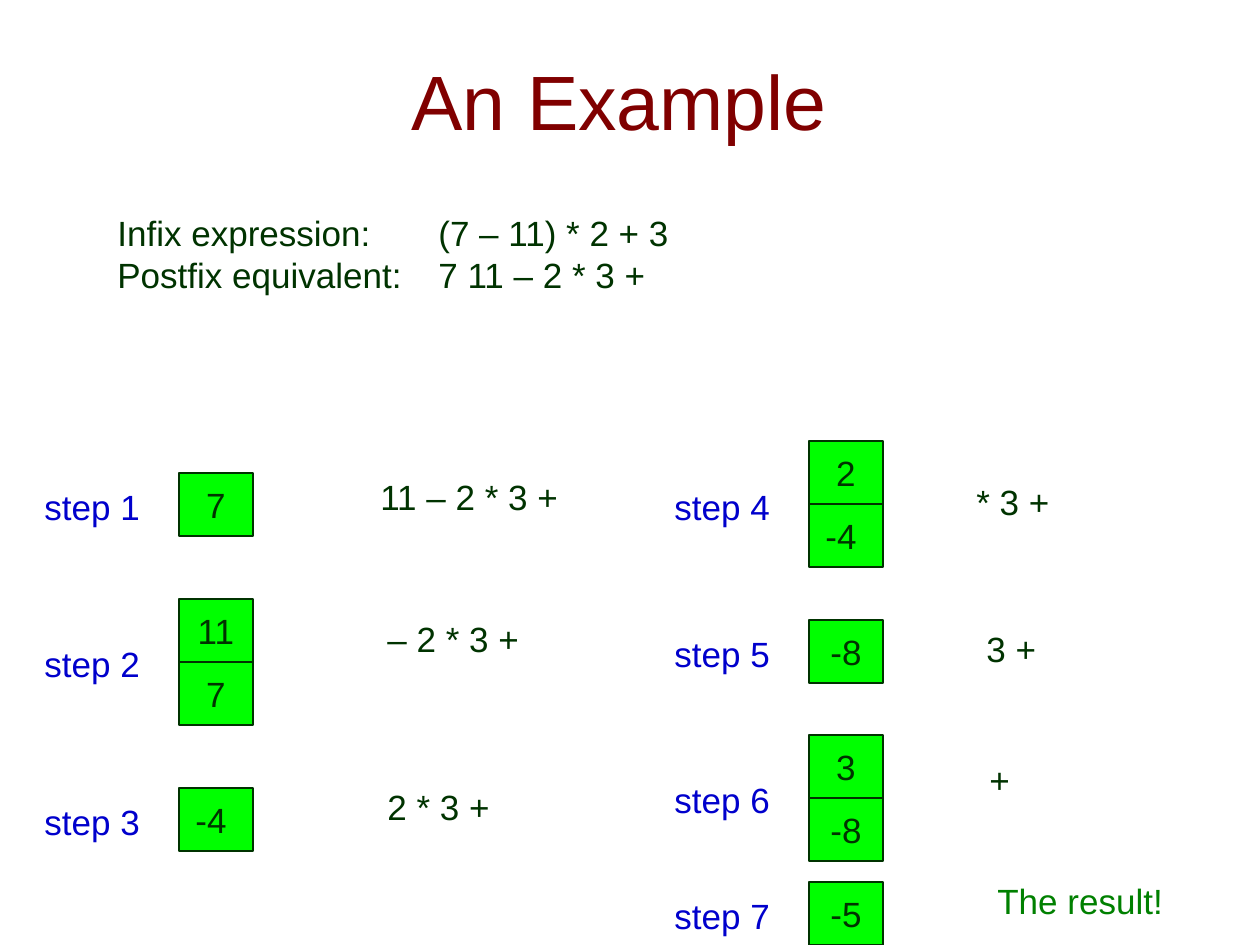
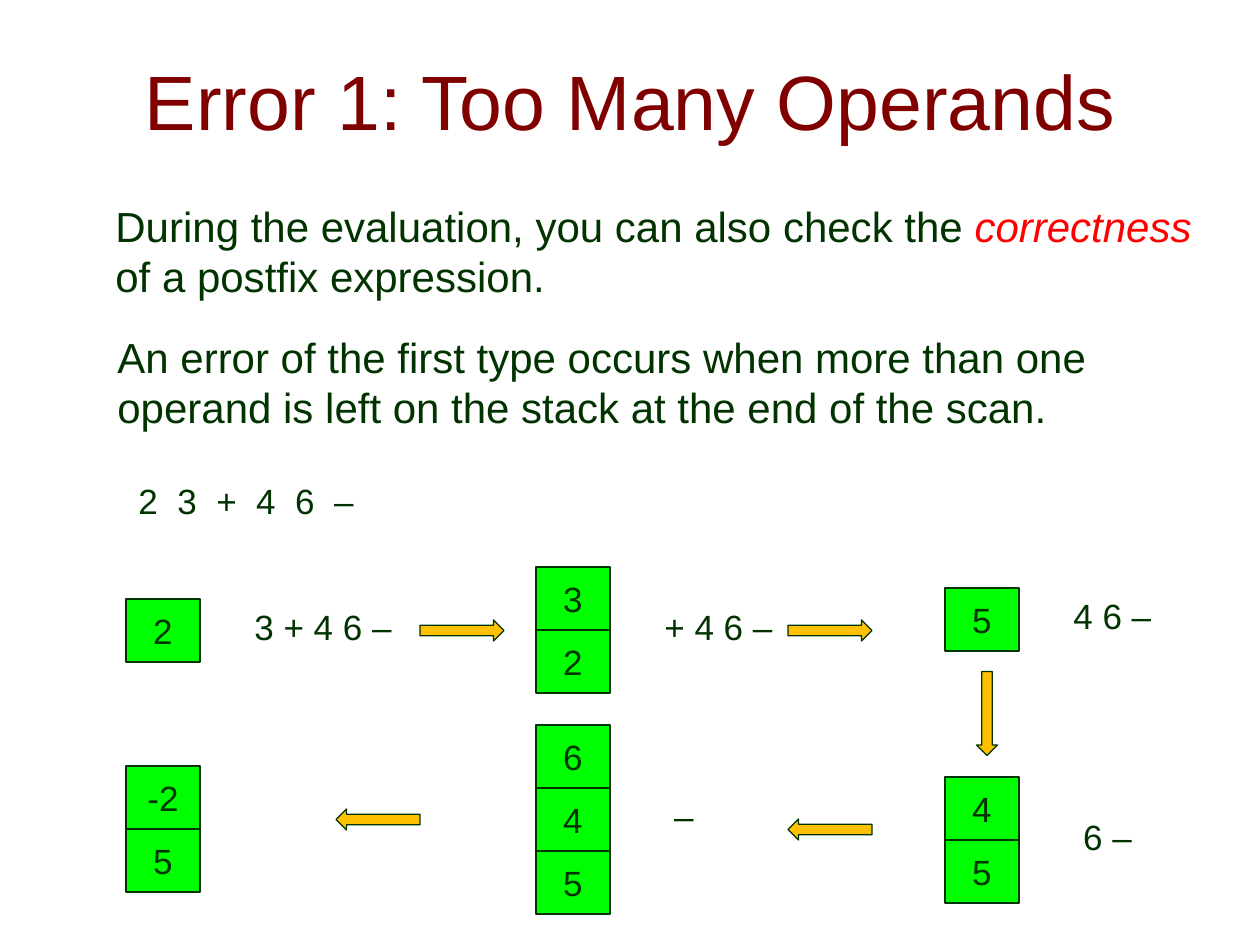
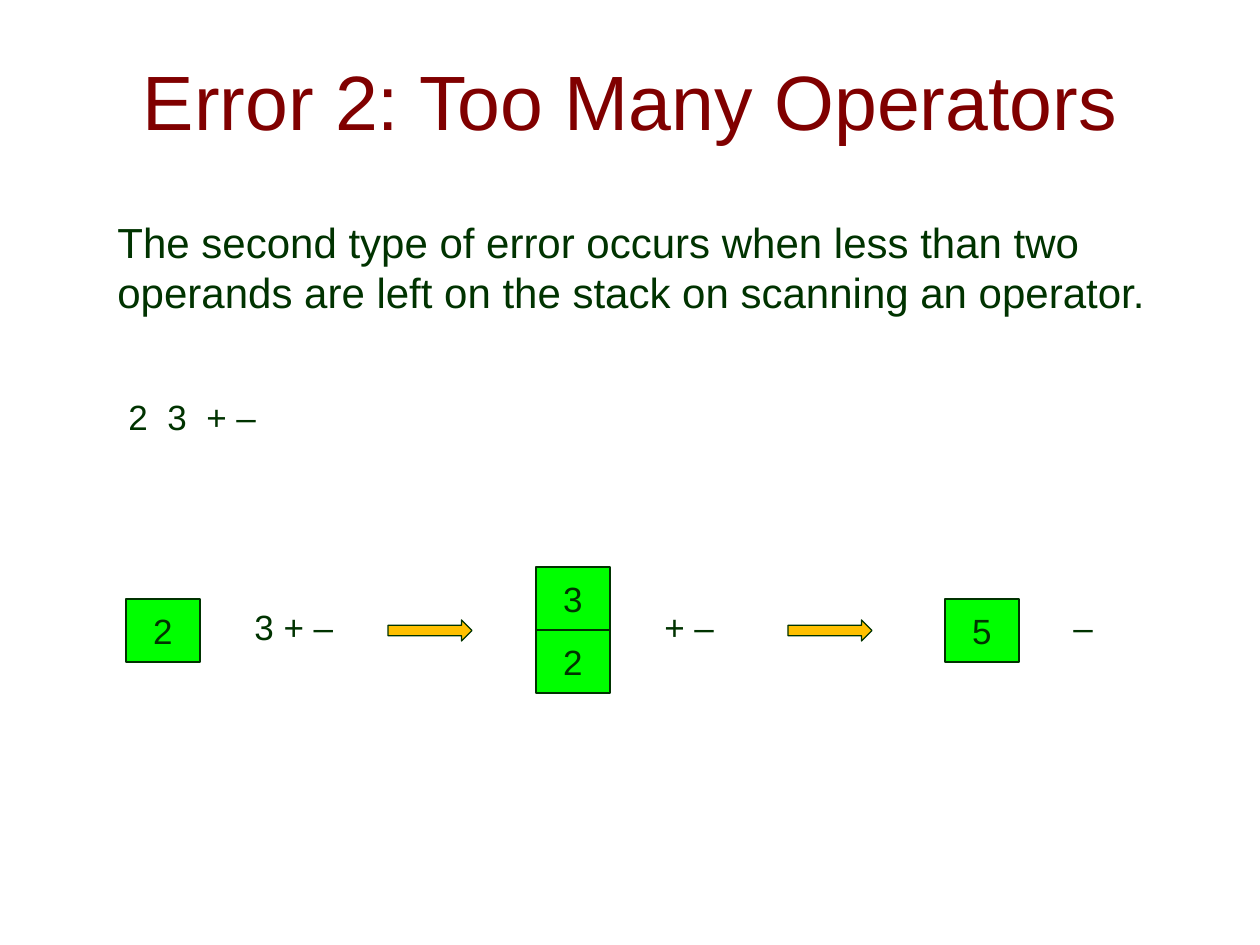
"""Build three slides on evaluating postfix expressions with a stack."""
import dataclasses
import typing

import lxml.etree
import pptx
import pptx.dml.color
import pptx.enum.shapes
import pptx.enum.text
import pptx.oxml.ns
import pptx.util

COLORS = {
    "title": "800000",
    "ink": "003300",
    "step": "0000CC",
    "result": "008000",
    "accent": "FF0000",
    "cell": "00FF00",
    "arrow": "FFC000",
}
FONT = "Arial"
EMU_PER_PX = 914400 / 126
SLIDE_W, SLIDE_H = 1260, 945
CELL_W, CELL_H = 74, 63
ARROW_W, ARROW_H = 84, 21
TEXT_H = 54
BODY_H = 115
TITLE_SIZE, BODY_SIZE, SMALL_SIZE = 44, 24, 20
COLUMNS = (126, 536, 945)
REST_OFFSET = 116
EXPRESSION_TAB = 321
WIDE_SPACING = 278


@dataclasses.dataclass(frozen=True)
class Run:
    text: str
    color: str = "ink"
    italic: bool = False
    spacing: int = 0


@dataclasses.dataclass(frozen=True)
class Label:
    text: str
    x: int
    y: int
    w: int
    color: str = "ink"


@dataclasses.dataclass(frozen=True)
class Stack:
    x: int
    y: int
    values: tuple[str, ...]
    rest: typing.Optional[Label] = None


@dataclasses.dataclass(frozen=True)
class Arrow:
    x: int
    y: int
    rotation: int = 0


Line = tuple[Run, ...]


def px(n: float) -> int:
    return pptx.util.Emu(round(n * EMU_PER_PX))


def rgb(name: str) -> pptx.dml.color.RGBColor:
    return pptx.dml.color.RGBColor.from_string(COLORS[name])


def format_run(r: typing.Any, size: int, color: str, italic: bool = False) -> None:
    r.font.name = FONT
    r.font.size = pptx.util.Pt(size)
    r.font.color.rgb = rgb(color)
    r.font.italic = italic


def add_text(shapes: typing.Any, box: tuple[int, int, int, int],
             lines: typing.Sequence[Line], size: int) -> typing.Any:
    sp = shapes.add_textbox(*map(px, box))
    tf = sp.text_frame
    tf.word_wrap = True
    for i, line in enumerate(lines):
        p = tf.add_paragraph() if i else tf.paragraphs[0]
        for run in line:
            r = p.add_run()
            r.text = run.text
            format_run(r, size, run.color, run.italic)
            if run.spacing:
                r.font._element.set("spc", str(run.spacing))
    return sp


def add_label(shapes: typing.Any, label: Label) -> None:
    add_text(shapes, (label.x, label.y, label.w, TEXT_H),
             [(Run(label.text, label.color),)], SMALL_SIZE)


def add_title(s: typing.Any, text: str, x: int = 95) -> None:
    sp = add_text(s.shapes, (x, 21, 1071, 158), [(Run(text, "title"),)], TITLE_SIZE)
    sp.text_frame.vertical_anchor = pptx.enum.text.MSO_ANCHOR.MIDDLE
    sp.text_frame.paragraphs[0].alignment = pptx.enum.text.PP_ALIGN.CENTER


def add_tab_stop(p: typing.Any, position: int) -> None:
    tabs = lxml.etree.SubElement(p._p.get_or_add_pPr(), pptx.oxml.ns.qn("a:tabLst"))
    lxml.etree.SubElement(tabs, pptx.oxml.ns.qn("a:tab"), pos=str(px(position)), algn="l")


def add_filled(shapes: typing.Any, kind: pptx.enum.shapes.MSO_SHAPE,
               box: tuple[int, int, int, int], fill: str) -> typing.Any:
    sp = shapes.add_shape(kind, *map(px, box))
    sp.shadow.inherit = False
    sp.fill.solid()
    sp.fill.fore_color.rgb = rgb(fill)
    sp.line.color.rgb = rgb("ink")
    sp.line.width = pptx.util.Pt(0.75)
    return sp


def add_stack(s: typing.Any, stack: Stack) -> None:
    shapes = s.shapes.add_group_shape().shapes
    for i, value in enumerate(stack.values):
        sp = add_filled(shapes, pptx.enum.shapes.MSO_SHAPE.RECTANGLE,
                        (stack.x, stack.y + i * CELL_H, CELL_W, CELL_H), "cell")
        tf = sp.text_frame
        tf.text = value
        tf.word_wrap = False
        tf.vertical_anchor = pptx.enum.text.MSO_ANCHOR.MIDDLE
        p = tf.paragraphs[0]
        p.alignment = pptx.enum.text.PP_ALIGN.CENTER
        format_run(p.runs[0], SMALL_SIZE, "ink")
    if stack.rest:
        add_label(shapes, stack.rest)


def add_arrow(s: typing.Any, arrow: Arrow) -> None:
    sp = add_filled(s.shapes, pptx.enum.shapes.MSO_SHAPE.RIGHT_ARROW,
                    (arrow.x, arrow.y, ARROW_W, ARROW_H), "arrow")
    sp.rotation = arrow.rotation


def column_stack(column: int, y: int, values: tuple[str, ...],
                 rest: str, rest_y: int, rest_w: int) -> Stack:
    x = COLUMNS[column]
    return Stack(x, y, values, Label(rest, x + REST_OFFSET, rest_y, rest_w))


def add_flow(s: typing.Any, stacks: typing.Sequence[Stack],
             arrows: typing.Sequence[Arrow]) -> None:
    for stack in stacks:
        add_stack(s, stack)
    for arrow in arrows:
        add_arrow(s, arrow)


def build_example(s: typing.Any) -> None:
    add_title(s, "An Example", 84)
    sp = add_text(s.shapes, (105, 205, 580, 97), [
        (Run("Infix expression:\t(7 – 11) * 2 + 3"),),
        (Run("Postfix equivalent:\t7 11 – 2 * 3 +"),),
    ], SMALL_SIZE)
    for p in sp.text_frame.paragraphs:
        add_tab_stop(p, EXPRESSION_TAB)

    left, right = 179, 809
    steps = (
        (479, Stack(left, 473, ("7",), Label("11 – 2 * 3 +", 368, 469, 214))),
        (636, Stack(left, 599, ("11", "7"), Label("– 2 * 3 +", 375, 611, 166))),
        (794, Stack(left, 788, ("-4 ",), Label("2 * 3 +", 375, 779, 137))),
        (479, Stack(right, 441, ("2", "-4 "), Label("* 3 +", 964, 474, 107))),
        (626, Stack(right, 620, ("-8",), Label("3 +", 974, 621, 84))),
        (772, Stack(right, 735, ("3", "-8"), Label("+", 977, 752, 55))),
        (888, Stack(right, 882, ("-5",), Label("The result!", 985, 873, 192, "result"))),
    )
    for number, (y, stack) in enumerate(steps, 1):
        add_stack(s, stack)
        add_label(s.shapes, Label(f"step {number}", stack.x - 147, y, 122, "step"))


def build_too_many_operands(s: typing.Any) -> None:
    add_title(s, "Error 1: Too Many Operands")
    add_text(s.shapes, (103, 194, 1125, BODY_H), [
        (Run("During the evaluation, you can also check the "),
         Run("correctness", "accent", italic=True)),
        (Run("of a postfix expression."),),
    ], BODY_SIZE)
    add_text(s.shapes, (105, 325, 1016, BODY_H), [
        (Run("An error of the first type occurs when more than one"),),
        (Run("operand is left on the stack at the end of the scan."),),
    ], BODY_SIZE)
    add_text(s.shapes, (126, 473, 271, TEXT_H),
             [(Run("2 3 + 4 6 –", spacing=WIDE_SPACING),)], SMALL_SIZE)
    add_flow(s, (
        column_stack(0, 599, ("2",), "3 + 4 6 –", 599, 183),
        column_stack(1, 567, ("3", "2"), "+ 4 6 –", 599, 144),
        column_stack(2, 588, ("5",), "4 6 –", 588, 123),
        column_stack(2, 777, ("4", "5"), " 6 –", 809, 93),
        column_stack(1, 725, ("6", "4", "5"), " –", 788, 64),
        Stack(COLUMNS[0], 766, ("-2", "5")),
    ), (
        Arrow(420, 620),
        Arrow(788, 620),
        Arrow(945, 703, 90),
        Arrow(788, 819, 180),
        Arrow(336, 809, 180),
    ))


def build_too_many_operators(s: typing.Any) -> None:
    add_title(s, "Error 2: Too Many Operators")
    add_text(s.shapes, (105, 210, 1075, BODY_H), [
        (Run("The second type of error occurs when less than two"),),
        (Run("operands are left on the stack on scanning an operator."),),
    ], BODY_SIZE)
    add_text(s.shapes, (116, 389, 183, TEXT_H),
             [(Run("2 3 ", spacing=WIDE_SPACING), Run("+ –"))], SMALL_SIZE)
    add_flow(s, (
        column_stack(0, 599, ("2",), "3 + –", 599, 125),
        column_stack(1, 567, ("3", "2"), "+ –", 599, 86),
        column_stack(2, 599, ("5",), "–", 599, 64),
    ), (Arrow(388, 620), Arrow(788, 620)))


def main() -> None:
    prs = pptx.Presentation()
    prs.slide_width, prs.slide_height = px(SLIDE_W), px(SLIDE_H)
    for build in (build_example, build_too_many_operands, build_too_many_operators):
        build(prs.slides.add_slide(prs.slide_layouts[6]))
    prs.save("out.pptx")


main()
